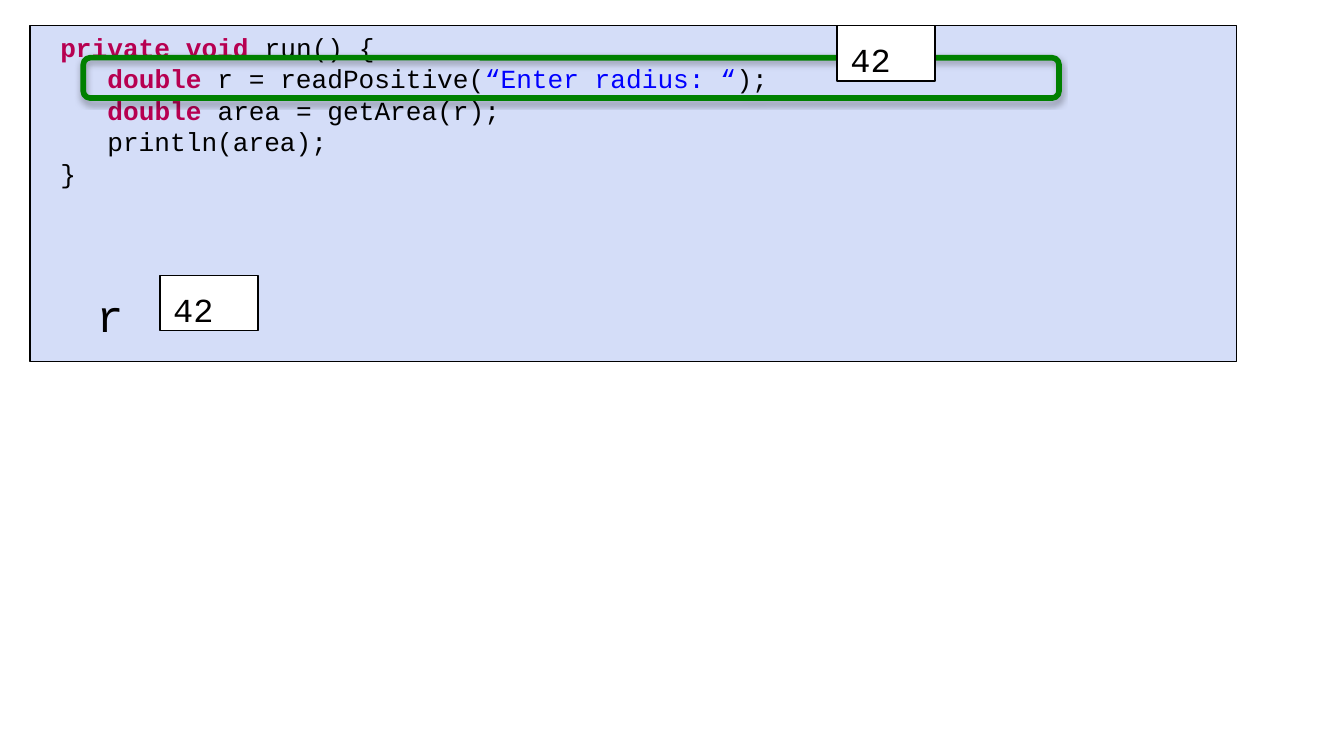
"""Build the slide that traces the run method and its variable r."""
from dataclasses import dataclass
from typing import Any, NamedTuple, Optional

from pptx import Presentation
from pptx.dml.color import RGBColor as Color
from pptx.enum.shapes import MSO_SHAPE as Preset
from pptx.enum.text import MSO_ANCHOR as Anchor, PP_ALIGN as Align
from pptx.oxml import parse_xml
from pptx.util import Pt


@dataclass(frozen=True)
class Theme:
    font: str = "Courier New"
    code_size: float = 14
    value_size: float = 18
    name_size: float = 24
    panel: str = "D4DDF8"
    white: str = "FFFFFF"
    ink: str = "000000"
    value: str = "010000"
    keyword: str = "B70051"
    literal: str = "0000FF"
    marker: str = "008000"


THEME = Theme()


class Area(NamedTuple):
    left: float
    top: float
    width: float
    height: float

    def lengths(self) -> list:
        return [Pt(value) for value in self]


class Span(NamedTuple):
    text: str
    color: str = THEME.ink
    bold: bool = False


@dataclass(frozen=True)
class Panel:
    area: Area
    fill: Optional[str]
    line: str = THEME.ink
    weight: float = 1
    preset: Any = Preset.RECTANGLE


def keyword(text: str) -> Span:
    return Span(text, THEME.keyword, True)


CODE = [
    [keyword("private void "), Span("run() {")],
    [Span("   "), keyword("double"), Span(" r = readPositive("),
     Span("“Enter radius: “", THEME.literal), Span(");")],
    [Span("   "), keyword("double "), Span("area = getArea(r);")],
    [Span("   println(area);")],
    [Span("}")],
]
FRAME = Panel(Area(15.84, 13.68, 646.56, 180), THEME.panel)
MARKER = Panel(Area(44.64, 30.96, 522.72, 21.6), None, THEME.marker, 3,
               Preset.ROUNDED_RECTANGLE)
VALUES = [Panel(Area(left, top, 52.56, 29.52), THEME.white)
          for left, top in ((448.56, 13.68), (85.68, 147.6))]
CODE_AREA = Area(25.2, -21.6, 671.04, 163.44)
NAME_AREA = Area(44.64, 146.16, 28.8, 27.36)
SHADOW = (
    '<a:effectLst xmlns:a="http://schemas.openxmlformats.org/drawingml/2006/main">'
    f'<a:outerShdw blurRad="{Pt(3.1)}" dist="{Pt(1.8)}" dir="5400000" rotWithShape="0">'
    f'<a:srgbClr val="{THEME.ink}"><a:alpha val="35000"/></a:srgbClr>'
    '</a:outerShdw></a:effectLst>'
)


def apply(target: Any, formats: dict) -> None:
    for name, value in formats.items():
        setattr(target, name, value)


def draw_panel(page: Any, panel: Panel) -> Any:
    shape = page.shapes.add_shape(panel.preset, *panel.area.lengths())
    shape.shadow.inherit = False
    if panel.fill:
        shape.fill.solid()
        shape.fill.fore_color.rgb = Color.from_string(panel.fill)
    else:
        shape.fill.background()
    shape.line.color.rgb = Color.from_string(panel.line)
    shape.line.width = Pt(panel.weight)
    return shape


def write(box: Any, lines: list, size: float, inset: float,
          formats: Optional[dict] = None) -> None:
    frame = box.text_frame
    apply(frame, {"word_wrap": True, "vertical_anchor": Anchor.TOP,
                  "margin_left": Pt(7.2), "margin_right": Pt(7.2),
                  "margin_top": Pt(inset), "margin_bottom": Pt(3.6)})
    for index, spans in enumerate(lines):
        para = frame.add_paragraph() if index else frame.paragraphs[0]
        apply(para, {"alignment": Align.LEFT, **(formats or {})})
        for span in spans:
            run = para.add_run()
            run.text = span.text
            apply(run.font, {"name": THEME.font, "size": Pt(size), "bold": span.bold})
            run.font.color.rgb = Color.from_string(span.color)


def main() -> None:
    deck = Presentation()
    apply(deck, {"slide_width": Pt(720), "slide_height": Pt(405)})
    page = deck.slides.add_slide(deck.slide_layouts[6])

    draw_panel(page, FRAME)
    code = page.shapes.add_textbox(*CODE_AREA.lengths())
    write(code, CODE, THEME.code_size, 38.5, {"line_spacing": Pt(16.8)})

    marker = draw_panel(page, MARKER)
    marker.adjustments[0] = 0.17
    properties = marker.fill._xPr
    properties.remove(properties.find("{*}effectLst"))
    properties.append(parse_xml(SHADOW))

    for panel in VALUES:
        write(draw_panel(page, panel), [[Span("42", THEME.value)]], THEME.value_size, 7.2)
    name = page.shapes.add_textbox(*NAME_AREA.lengths())
    write(name, [[Span("r", THEME.value)]], THEME.name_size, 8)

    deck.save("out.pptx")


if __name__ == "__main__":
    main()
